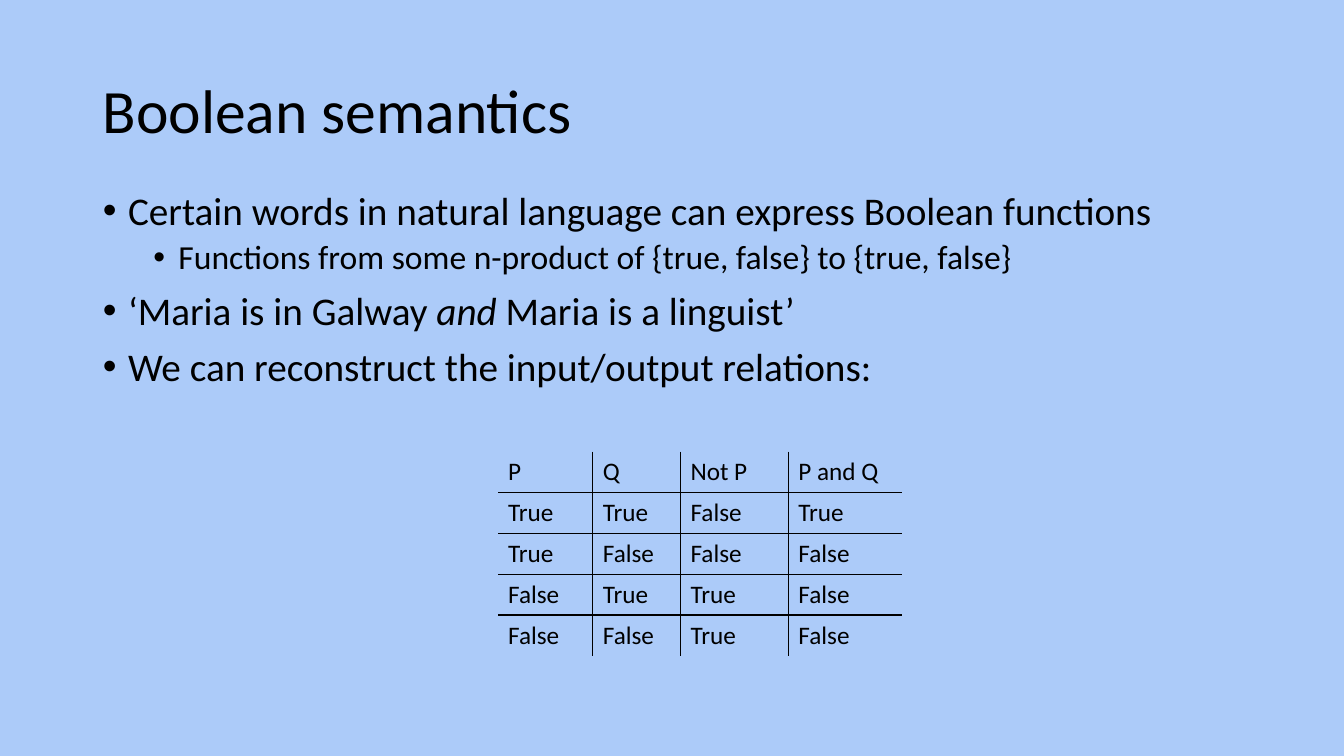
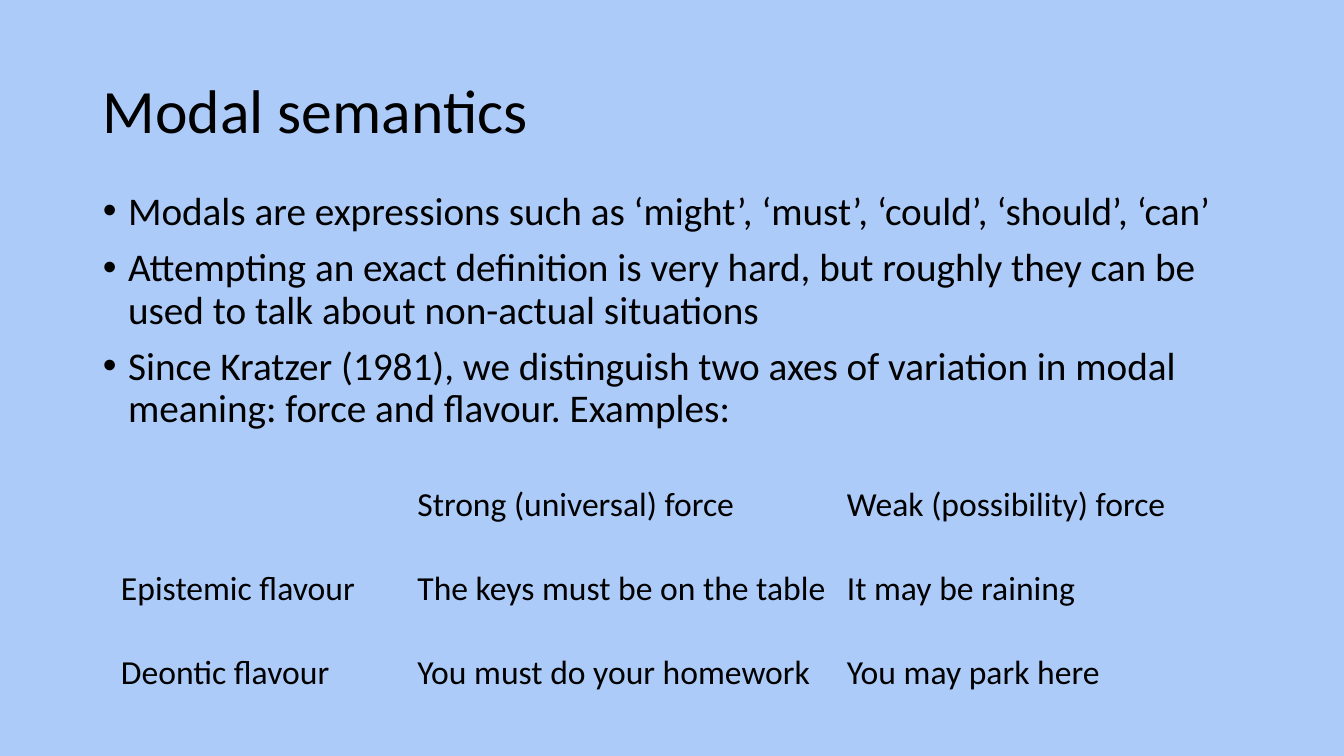
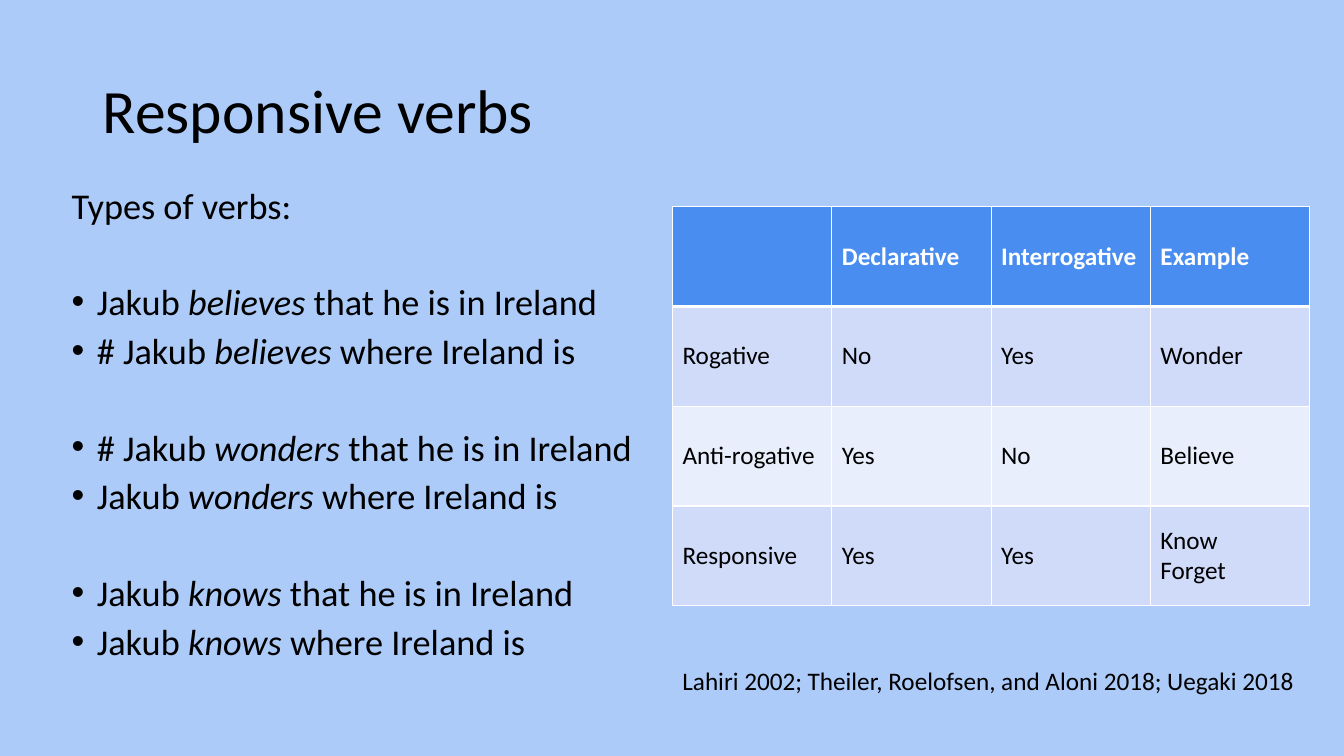
from dataclasses import dataclass

from lxml import etree
from pptx import Presentation
from pptx import util as u
from pptx.dml.color import RGBColor
from pptx.enum import text
from pptx.oxml.ns import qn


@dataclass(frozen=True)
class Theme:
    font: str = "Calibri"
    background: str = "ACCBF9"
    ink: str = "000000"
    white: str = "FFFFFF"
    header: str = "498DF1"
    bands: tuple = ("D0DBFA", "E9EEFC")
    title: float = 44
    body: float = 28
    sub: float = 24
    verbs: float = 25.9
    small: float = 18


THEME = Theme()
PX = u.Inches(1) // 100  # 100 px to the inch
SLIDE = (1333, 750)
TITLE_BOX = (92, 40, 1150, 145)
BODY_BOX = (92, 185, 1150, 491)
VERBS_BOX = (61, 185, 595, 491)
CITATION_BOX = (667, 655, 640, 40)
NO_STYLE = "{2D5ABB26-0587-4C30-8999-92F81FD0307C}"

# Content: *asterisks* mark italics
BULLET = dict(indent=25, bullet=True, before=10)
SUB_BULLET = dict(level=1, indent=75, bullet=True, before=5, size=THEME.sub)
PLAIN = dict(before=10)
GROUP_START = dict(BULLET, before=44)

BOOLEAN_POINTS = [
    ("Certain words in natural language can express Boolean functions", BULLET),
    ("Functions from some n-product of {true, false} to {true, false}", SUB_BULLET),
    ("‘Maria is in Galway *and *Maria is a linguist’", BULLET),
    ("We can reconstruct the input/output relations:", BULLET),
]
TRUTH_TABLE = [
    ("P", "Q", "Not P", "P and Q"),
    ("True", "True", "False", "True"),
    ("True", "False", "False", "False"),
    ("False", "True", "True", "False"),
    ("False", "False", "True", "False"),
]
MODAL_POINTS = [
    ("Modals are expressions such as ‘might’, ‘must’, ‘could’, ‘should’, ‘can’", BULLET),
    ("Attempting an exact definition is very hard, but roughly they can be used "
     "to talk about non-actual situations", BULLET),
    ("Since Kratzer (1981), we distinguish two axes of variation in modal "
     "meaning: force and flavour. Examples:", BULLET),
]
MODAL_TABLE = [
    ("", "Strong (universal) force", "Weak (possibility) force"),
    ("Epistemic flavour", "The keys must be on the table", "It may be raining"),
    ("Deontic flavour", "You must do your homework", "You may park here"),
]
VERB_POINTS = [
    ("Types of verbs:", PLAIN),
    ("Jakub *believes* that he is in Ireland", GROUP_START),
    ("# Jakub *believes* where Ireland is", BULLET),
    ("# Jakub *wonders *that he is in Ireland", GROUP_START),
    ("Jakub *wonders *where Ireland is", BULLET),
    ("Jakub *knows* that he is in Ireland", GROUP_START),
    ("Jakub *knows *where Ireland is", BULLET),
]
VERB_TABLE = [
    ("", "Declarative", "Interrogative", "Example"),
    ("Rogative", "No", "Yes", "Wonder"),
    ("Anti-rogative", "Yes", "No", "Believe"),
    ("Responsive", "Yes", "Yes", "Know\nForget"),
]
CITATION = "Lahiri 2002; Theiler, Roelofsen, and Aloni 2018; Uegaki 2018"


def place(shape, box):
    shape.left, shape.top, shape.width, shape.height = (n * PX for n in box)


def write(para, content, size=THEME.small, color=THEME.ink, bold=False,
          spacing=1.0, before=0, level=0, indent=0, bullet=False):
    """Fill one paragraph with formatted text."""
    para.alignment = text.PP_ALIGN.LEFT
    para.level = level
    para.line_spacing = spacing
    para.space_before = u.Pt(before)
    props = para._p.get_or_add_pPr()
    props.set("marL", str(indent * PX))
    props.set("indent", str(-25 * PX if bullet else 0))
    if bullet:
        etree.SubElement(props, qn("a:buFont"), typeface="Arial")
        etree.SubElement(props, qn("a:buChar"), char="•")
    else:
        etree.SubElement(props, qn("a:buNone"))
    for number, part in enumerate(content.split("*")):
        if part:
            span = para.add_run()
            span.text = part
            span.font.name = THEME.font
            span.font.size = u.Pt(size)
            span.font.bold = bold
            span.font.italic = number % 2 == 1
            span.font.color.rgb = RGBColor.from_string(color)


def write_lines(frame, lines, **shared):
    """Write (text, format) pairs, one paragraph each."""
    for number, (content, own) in enumerate(lines):
        para = frame.add_paragraph() if number else frame.paragraphs[0]
        write(para, content, **{**shared, **own})


def add_slide(deck, title, points, box=None, size=THEME.body, spacing=0.9):
    page = deck.slides.add_slide(deck.slide_layouts[1])
    heading, body = page.shapes.title, page.placeholders[1]
    heading.text_frame.vertical_anchor = text.MSO_ANCHOR.MIDDLE
    write(heading.text_frame.paragraphs[0], title, size=THEME.title, spacing=0.9)
    if box:
        place(body, box)
    body.text_frame.auto_size = text.MSO_AUTO_SIZE.NONE
    write_lines(body.text_frame, points, size=size, spacing=spacing)
    return page


def draw_borders(cell, edges):
    """Edges maps L, R, T, B to (colour, points)."""
    props = cell._tc.get_or_add_tcPr()
    for side in "LRTB":
        if side in edges:
            color, width = edges[side]
            line = etree.SubElement(props, qn(f"a:ln{side}"), w=str(u.Pt(width)))
            fill = etree.SubElement(line, qn("a:solidFill"))
            etree.SubElement(fill, qn("a:srgbClr"), val=color)


def inner_edges(row, col, rows, cols):
    inside = {"L": col > 0, "R": col < cols - 1, "T": row > 0, "B": row < rows - 1}
    return {side: (THEME.ink, 1) for side, drawn in inside.items() if drawn}


def white_edges(row, col, rows, cols):
    edges = {side: (THEME.white, 1) for side in "LRTB"}
    if row < 2:
        edges["B" if row == 0 else "T"] = (THEME.white, 3)
    return edges


def add_grid(page, data, left, top, widths, row_height, size=THEME.small,
             anchor=text.MSO_ANCHOR.MIDDLE, edges=None, banded=False):
    rows, cols = len(data), len(widths)
    box = (left, top, sum(widths), rows * row_height)
    frame = page.shapes.add_table(rows, cols, *(n * PX for n in box))
    table = frame.table
    table.first_row = banded
    table.horz_banding = False
    for style in frame.element.iter(qn("a:tableStyleId")):
        style.text = NO_STYLE
    for column, width in zip(table.columns, widths):
        column.width = width * PX
    for r, values in enumerate(data):
        table.rows[r].height = row_height * PX
        header = banded and r == 0
        for c, value in enumerate(values):
            cell = table.cell(r, c)
            cell.vertical_anchor = anchor
            if edges:
                draw_borders(cell, edges(r, c, rows, cols))
            if banded:
                cell.fill.solid()
                shade = THEME.header if header else THEME.bands[(r - 1) % 2]
                cell.fill.fore_color.rgb = RGBColor.from_string(shade)
            else:
                cell.fill.background()
            write_lines(cell.text_frame, [(line, {}) for line in value.split("\n")],
                        size=size, bold=header,
                        color=THEME.white if header else THEME.ink)


def main():
    deck = Presentation()
    deck.slide_width, deck.slide_height = (n * PX for n in SLIDE)

    # Shared background and placeholder positions
    backdrop = deck.slide_master.background.fill
    backdrop.solid()
    backdrop.fore_color.rgb = RGBColor.from_string(THEME.background)
    for holder, box in zip(deck.slide_layouts[1].placeholders, (TITLE_BOX, BODY_BOX)):
        place(holder, box)

    # Boolean semantics
    page = add_slide(deck, "Boolean semantics", BOOLEAN_POINTS)
    add_grid(page, TRUTH_TABLE, 494, 448, (94, 87, 107, 113), 40,
             anchor=text.MSO_ANCHOR.TOP, edges=inner_edges)

    # Modal semantics
    page = add_slide(deck, "Modal semantics", MODAL_POINTS)
    add_grid(page, MODAL_TABLE, 110, 460, (294, 426, 392), 83, size=THEME.sub)

    # Responsive verbs
    page = add_slide(deck, "Responsive verbs", VERB_POINTS, box=VERBS_BOX,
                     size=THEME.verbs, spacing=0.8)
    add_grid(page, VERB_TABLE, 667, 205, (158,) * 4, 99,
             edges=white_edges, banded=True)
    citation = page.shapes.add_textbox(*(n * PX for n in CITATION_BOX))
    citation.text_frame.word_wrap = True
    write(citation.text_frame.paragraphs[0], CITATION)

    deck.save("out.pptx")


if __name__ == "__main__":
    main()
